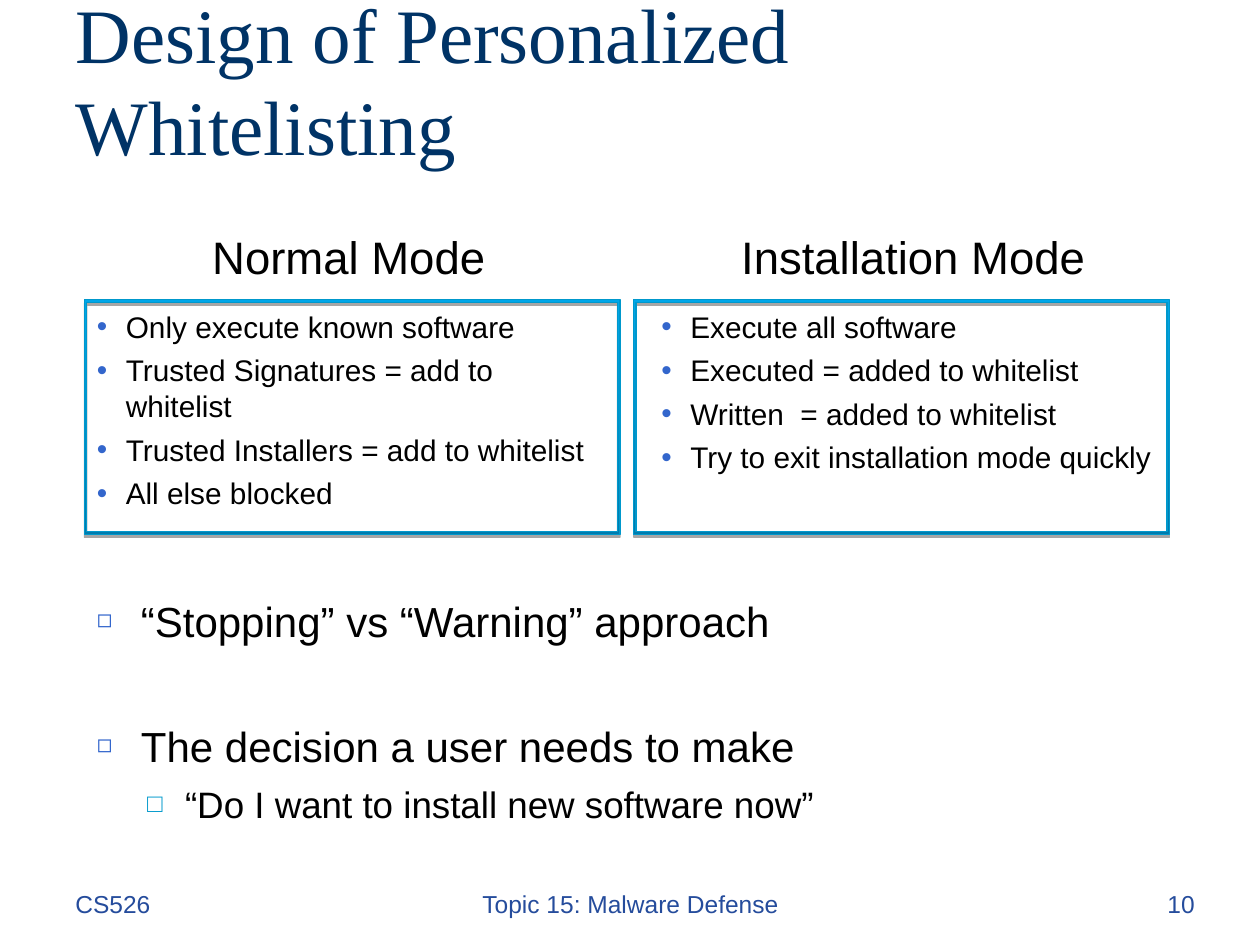
import pptx
import pptx.dml.color
import pptx.enum.shapes
import pptx.enum.text
import pptx.oxml
import pptx.oxml.ns
import pptx.util

Inches = pptx.util.Inches
Pt = pptx.util.Pt
RGBColor = pptx.dml.color.RGBColor
ALIGN = pptx.enum.text.PP_ALIGN

NAVY = RGBColor(0x00, 0x33, 0x66)
BLACK = RGBColor(0x00, 0x00, 0x00)
FOOTER_BLUE = RGBColor(0x25, 0x4C, 0x9C)
BULLET_BLUE = RGBColor(0x33, 0x66, 0xCC)
BULLET_CYAN = RGBColor(0x00, 0x99, 0xCC)
FRAME_DARK = RGBColor(0x00, 0x7B, 0xAD)
FRAME_LIGHT = RGBColor(0x00, 0xA6, 0xE9)
FRAME_LINE = RGBColor(0x00, 0x98, 0xCC)

SHADOW = (
    '<a:effectLst %s><a:outerShdw dist="22860" dir="5400000" rotWithShape="0">'
    '<a:srgbClr val="000000"><a:alpha val="35000"/></a:srgbClr>'
    '</a:outerShdw></a:effectLst>' % pptx.oxml.ns.nsdecls("a")
)


def add_bullet(paragraph, char, color, percent, left, hanging):
    properties = paragraph._p.get_or_add_pPr()
    properties.set("marL", str(Inches(left)))
    properties.set("indent", str(-Inches(hanging)))
    for xml in (
        '<a:buClr %s><a:srgbClr val="{}"/></a:buClr>'.format(color),
        '<a:buSzPct %s val="{}"/>'.format(percent * 1000),
        '<a:buFont %s typeface="Arial"/>',
        '<a:buChar %s char="{}"/>'.format(char),
    ):
        properties.append(pptx.oxml.parse_xml(xml % pptx.oxml.ns.nsdecls("a")))


def write(frame, text, size, color=BLACK, font="Arial", align=ALIGN.LEFT,
          before=0, line=None, bullet=None, level=0):
    """Fill the frame's empty first paragraph, or append another one."""
    paragraph = frame.paragraphs[0]
    if paragraph.runs:
        paragraph = frame.add_paragraph()
    paragraph.level = level
    paragraph.alignment = align
    paragraph.space_before = Pt(before)
    if line:
        paragraph.line_spacing = Pt(line)
    if bullet:
        add_bullet(paragraph, *bullet)
    run = paragraph.add_run()
    run.text = text
    run.font.size = Pt(size)
    run.font.name = font
    run.font.color.rgb = color


class SlideBuilder:
    MODE_BULLET = ("•", BULLET_BLUE, 100, 0.23, 0.23)
    POINT_BULLET = ("◻", BULLET_BLUE, 60, 0.35, 0.35)
    SUBPOINT_BULLET = ("□", BULLET_CYAN, 70, 0.7, 0.3)

    def __init__(self, presentation):
        self.slide = presentation.slides.add_slide(presentation.slide_layouts[5])

    def title(self, text):
        heading = self.slide.shapes.title
        heading.left, heading.top = Inches(0.5), Inches(0)
        heading.width, heading.height = Inches(9), Inches(1.25)
        frame = heading.text_frame
        frame.auto_size = pptx.enum.text.MSO_AUTO_SIZE.NONE
        frame.word_wrap = True
        frame.margin_right = Inches(0.3)
        frame.vertical_anchor = pptx.enum.text.MSO_ANCHOR.MIDDLE
        write(frame, text, 44, NAVY, "Times New Roman")

    def text_box(self, left, top, width, height, margin_right=0.1):
        box = self.slide.shapes.add_textbox(
            Inches(left), Inches(top), Inches(width), Inches(height))
        box.text_frame.word_wrap = True
        box.text_frame.margin_right = Inches(margin_right)
        return box.text_frame

    def mode(self, left, name, rules):
        frame = self.text_box(left, 1.77, 4.25, 2.5, margin_right=0.15)
        write(frame, name, 26, align=ALIGN.CENTER)
        for index, rule in enumerate(rules):
            write(frame, rule, 17, before=4.2 if index else 14, line=20.6,
                  bullet=self.MODE_BULLET)

    def outline(self, left):
        border = self.slide.shapes.add_shape(
            pptx.enum.shapes.MSO_SHAPE.FRAME,
            Inches(left), Inches(2.38), Inches(4.25), Inches(1.86))
        border.adjustments[0] = 0.01
        border.fill.gradient()
        border.fill.gradient_angle = 90
        for stop, color in zip(border.fill.gradient_stops, (FRAME_DARK, FRAME_LIGHT)):
            stop.color.rgb = color
        border.line.color.rgb = FRAME_LINE
        border.line.width = Pt(0.75)
        border._element.spPr.append(pptx.oxml.parse_xml(SHADOW))

    def footer(self, left, width, text, align):
        write(self.text_box(left, 7.01, width, 0.49), text, 14, FOOTER_BLUE, align=align)


def main():
    presentation = pptx.Presentation()
    presentation.slide_width, presentation.slide_height = Inches(10), Inches(7.5)
    builder = SlideBuilder(presentation)

    builder.title("Design of Personalized Whitelisting")
    builder.mode(0.67, "Normal Mode", [
        "Only execute known software",
        "Trusted Signatures = add to whitelist",
        "Trusted Installers = add to whitelist",
        "All else blocked",
    ])
    builder.mode(5.15, "Installation Mode", [
        "Execute all software",
        "Executed = added to whitelist",
        "Written  = added to whitelist",
        "Try to exit installation mode quickly",
    ])
    for left in (0.67, 5.03):
        builder.outline(left)

    discussion = builder.text_box(0.67, 4.69, 8.61, 2.3)
    write(discussion, "“Stopping” vs “Warning” approach", 24, line=27.6,
          bullet=builder.POINT_BULLET)
    write(discussion, "The decision a user needs to make", 24, before=43.8, line=27.6,
          bullet=builder.POINT_BULLET)
    write(discussion, "“Do I want to install new software now”", 21, before=7.3, line=24.2,
          bullet=builder.SUBPOINT_BULLET, level=1)

    builder.footer(7.5, 2.08, "10", ALIGN.RIGHT)
    builder.footer(0.5, 2.08, "CS526", ALIGN.LEFT)
    builder.footer(3.42, 3.17, "Topic 15: Malware Defense", ALIGN.CENTER)

    presentation.save("out.pptx")


if __name__ == "__main__":
    main()
